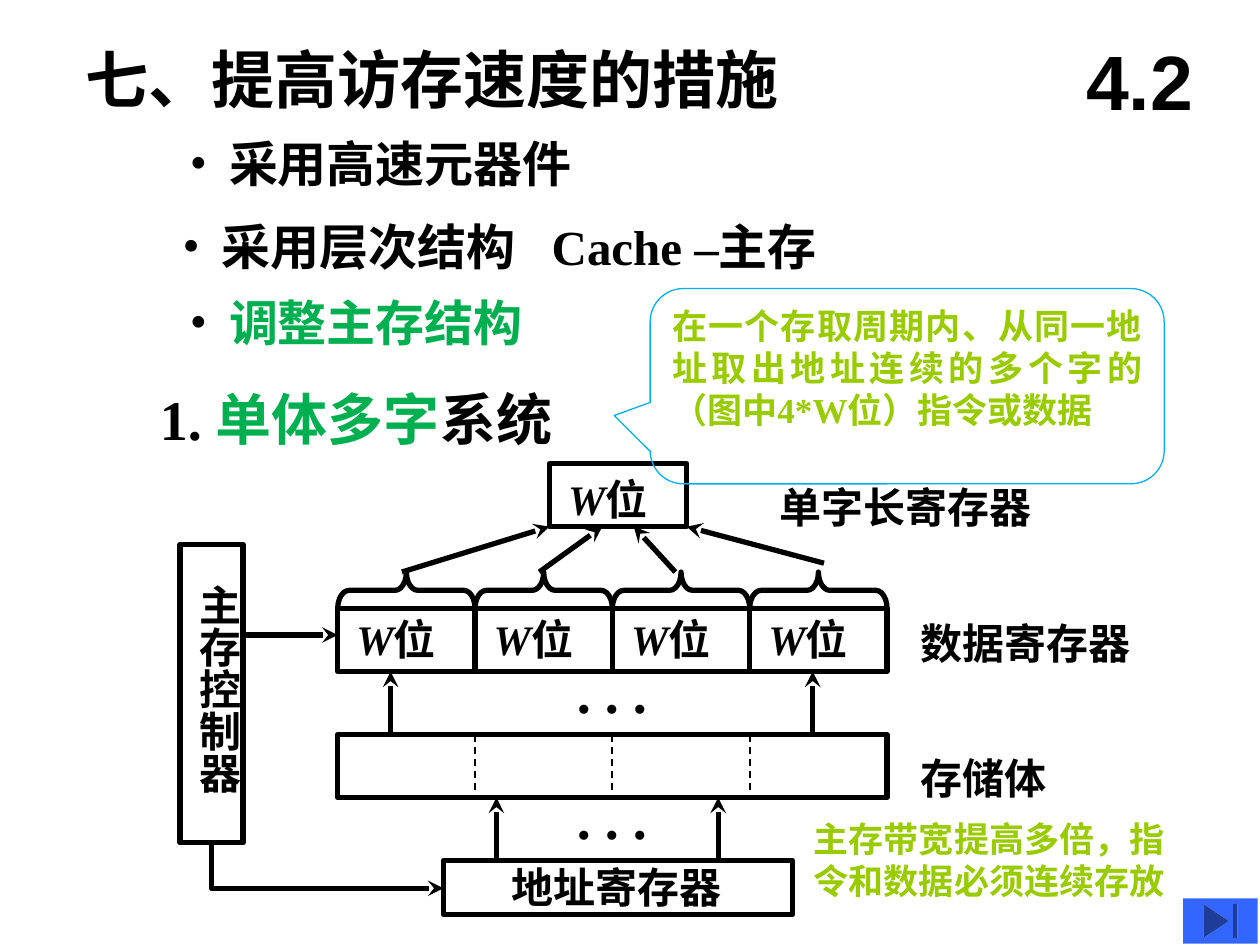
from pptx import Presentation
from pptx.dml.color import RGBColor
from pptx.enum.dml import MSO_LINE as DASH
from pptx.enum.shapes import MSO_CONNECTOR as CONN, MSO_SHAPE as SHAPE
from pptx.enum.text import MSO_ANCHOR as ANCHOR, MSO_AUTO_SIZE as AUTO, PP_ALIGN as ALIGN
from pptx.oxml.ns import qn
from pptx.util import Inches, Pt
from lxml.etree import SubElement

BLACK, GREEN, LIME, SKY, BLUE = "000000", "00B050", "99CC00", "00B0F0", "3366FF"


def rgb(value):
    return RGBColor.from_string(value)


class Slide:
    """Holds the text style and the slide being drawn."""

    style = {"name": "Times New Roman", "size": 24, "bold": True, "color": BLACK}

    def __init__(self, prs):
        self.s = prs.slides.add_slide(prs.slide_layouts[6])

    def fill_text(self, sp, runs, wrap=True, align=ALIGN.LEFT, anchor=ANCHOR.TOP, **base):
        """Fill a shape with one paragraph of (text, format) runs."""
        tf = sp.text_frame
        frame = {"word_wrap": wrap, "vertical_anchor": anchor,
                 "auto_size": AUTO.NONE if wrap else AUTO.SHAPE_TO_FIT_TEXT}
        for key, value in frame.items():
            setattr(tf, key, value)
        p = tf.paragraphs[0]
        p.alignment = align
        for text, extra in [(runs, {})] if isinstance(runs, str) else runs:
            r = p.add_run()
            r.text = text
            fmt = {**self.style, **base, **extra}
            r.font.color.rgb = rgb(fmt.pop("color"))
            fmt["size"] = Pt(fmt["size"])
            for key, value in fmt.items():
                setattr(r.font, key, value)
        return p

    def text(self, x, y, w, h, runs, **fmt):
        sp = self.s.shapes.add_textbox(*map(Inches, (x, y, w, h)))
        return sp, self.fill_text(sp, runs, **fmt)

    def bullet(self, x, y, w, runs, tab=None, **fmt):
        """Bulleted line with a hanging indent and an optional tab stop."""
        p = self.text(x, y, w, 0.57, runs, size=28, **fmt)[1]
        pPr = p._p.get_or_add_pPr()
        hang = Inches(0.31)
        pPr.set("marL", str(hang))
        pPr.set("indent", str(-hang))
        color = SubElement(SubElement(pPr, qn("a:buClr")), qn("a:srgbClr"))
        color.set("val", BLACK)
        SubElement(pPr, qn("a:buFont")).set("typeface", "Times New Roman")
        SubElement(pPr, qn("a:buChar")).set("char", "•")
        if tab:
            stop = SubElement(SubElement(pPr, qn("a:tabLst")), qn("a:tab"))
            stop.set("pos", str(Inches(tab)))
            stop.set("algn", "l")

    def vertical(self, x, y, w, h, runs):
        sp, _ = self.text(x, y, w, h, runs, wrap=False)
        tf = sp.text_frame
        tf._txBody.bodyPr.set("vert", "eaVert")
        for side, inset in {"left": 0.05, "right": 0.05, "top": 0.1, "bottom": 0.1}.items():
            setattr(tf, f"margin_{side}", Inches(inset))

    def stroke(self, line, color=BLACK, width=3, dash=None, arrow=False):
        line.color.rgb = rgb(color)
        line.width = Pt(width)
        if dash:
            line.dash_style = dash
        if arrow:
            SubElement(line._get_or_add_ln(), qn("a:tailEnd")).set("type", "stealth")

    def shape(self, kind, x, y, w, h, adj=(), fill=None, line=BLACK, width=3):
        sp = self.s.shapes.add_shape(kind, *map(Inches, (x, y, w, h)))
        sp.shadow.inherit = False
        for i, value in enumerate(adj):
            sp.adjustments[i] = value
        if fill:
            sp.fill.solid()
            sp.fill.fore_color.rgb = rgb(fill)
        else:
            sp.fill.background()
        if line:
            self.stroke(sp.line, line, width)
        else:
            sp.line.fill.background()
        return sp

    def box(self, x, y, w, h):
        return self.shape(SHAPE.RECTANGLE, x, y, w, h)

    def brace(self, x, y, w, h):
        """Brace lying on its side, with its point upwards."""
        sp = self.shape(SHAPE.LEFT_BRACE, x + (w - h) / 2, y - (w - h) / 2, h, w, (0.31, 0.5))
        sp.rotation = 90

    def line(self, x1, y1, x2, y2, **fmt):
        c = self.s.shapes.add_connector(CONN.STRAIGHT, *map(Inches, (x1, y1, x2, y2)))
        self.stroke(c.line, **fmt)
        SubElement(c._element.spPr, qn("a:effectLst"))

    def bent_arrow(self, *points):
        start, *rest = [tuple(map(Inches, pt)) for pt in points]
        fb = self.s.shapes.build_freeform(*start)
        fb.add_line_segments(rest, close=False)
        sp = fb.convert_to_shape()
        sp.shadow.inherit = False
        sp.fill.background()
        self.stroke(sp.line, arrow=True)


def draw_headings(s):
    s.text(0.58, 0.27, 5.92, 0.7, "七、提高访存速度的措施", size=36)
    s.text(8.42, 0.17, 1.25, 0.92, "4.2", name="Arial", size=44,
           align=ALIGN.CENTER, anchor=ANCHOR.MIDDLE)
    s.bullet(1.41, 1.01, 3.34, "采用高速元器件")
    s.bullet(1.35, 1.67, 5.49, "采用层次结构\tCache –主存", tab=2.93)
    s.bullet(1.41, 2.27, 3.17, "调整主存结构", color=GREEN)
    s.text(1.17, 3, 3.5, 1.17,
           [("1. ", {}), ("单体多字", {"color": GREEN}), ("系统", {})], size=32)


def draw_memory(s):
    left, cell, row = 2.68, 1.09, 0.5
    word = [("W", {"italic": True}), ("位", {})]
    cells = [left + i * cell for i in range(4)]

    s.box(1.43, 4.32, 0.5, 2.37)
    s.vertical(1.39, 4.54, 0.6, 1.87, "主存控制器")

    for x in cells:
        s.box(x, 4.83, cell, row)
        s.text(x + 0.05, 4.82, 0.91, row, word, wrap=False)
        s.brace(x, 4.54, cell, 0.29)
    s.box(4.36, 3.68, cell, row)
    s.text(4.41, 3.71, 0.91, row, word, wrap=False)

    s.box(left, 5.83, 4 * cell, row)
    for x in cells[1:]:
        s.line(x, 5.83, x, 6.33, width=1, dash=DASH.DASH)
    s.box(3.52, 6.83, 2.77, 0.43)
    s.text(3.96, 6.79, 1.9, row, "地址寄存器", wrap=False)

    for x1, y1, x2 in [(3.19, 4.54, 4.36), (4.28, 4.54, 4.78),
                       (5.36, 4.54, 5.03), (6.54, 4.47, 5.45)]:
        s.line(x1, y1, x2, 4.18, arrow=True)
    for x, y in [(3.1, 5.83), (6.45, 5.83), (3.94, 6.83), (5.7, 6.83)]:
        s.line(x, y, x, y - 0.5, arrow=True)
    s.line(1.93, 5.04, left, 5.04, arrow=True)
    s.bent_arrow((1.68, 6.69), (1.68, 7.05), (3.52, 7.05))

    for y in (5.17, 6.17):
        s.text(4.48, y, 0.86, 0.64, ". . .", size=32, wrap=False)
    for x, y, w, label in [(6.09, 3.77, 2.27, "单字长寄存器"),
                           (7.21, 4.85, 1.94, "数据寄存器"),
                           (7.21, 5.92, 1.27, "存储体")]:
        s.text(x, y, w, row, label, wrap=False)


def draw_notes(s):
    callout = SHAPE.ROUNDED_RECTANGULAR_CALLOUT
    sp = s.shape(callout, 5.16, 2.29, 4.08, 1.55, (-0.57, 0.15, 0.17), line=SKY, width=0.75)
    s.fill_text(sp, "在一个存取周期内、从同一地址取出地址连续的多个字的（图中4*W位）指令或数据",
                size=20, color=LIME, align=ALIGN.JUSTIFY)
    sp = s.shape(callout, 6.32, 6.4, 3.23, 0.83, (-0.49, -0.76, 0.17), line=None)
    s.fill_text(sp, "主存带宽提高多倍，指令和数据必须连续存放", size=20, color=LIME)
    s.shape(SHAPE.ACTION_BUTTON_END, 9.39, 7.13, 0.59, 0.36, fill=BLUE, line=None)


def main():
    prs = Presentation()
    prs.slide_width, prs.slide_height = Inches(10), Inches(7.5)
    s = Slide(prs)
    draw_headings(s)
    draw_memory(s)
    draw_notes(s)
    prs.save("out.pptx")


if __name__ == "__main__":
    main()
